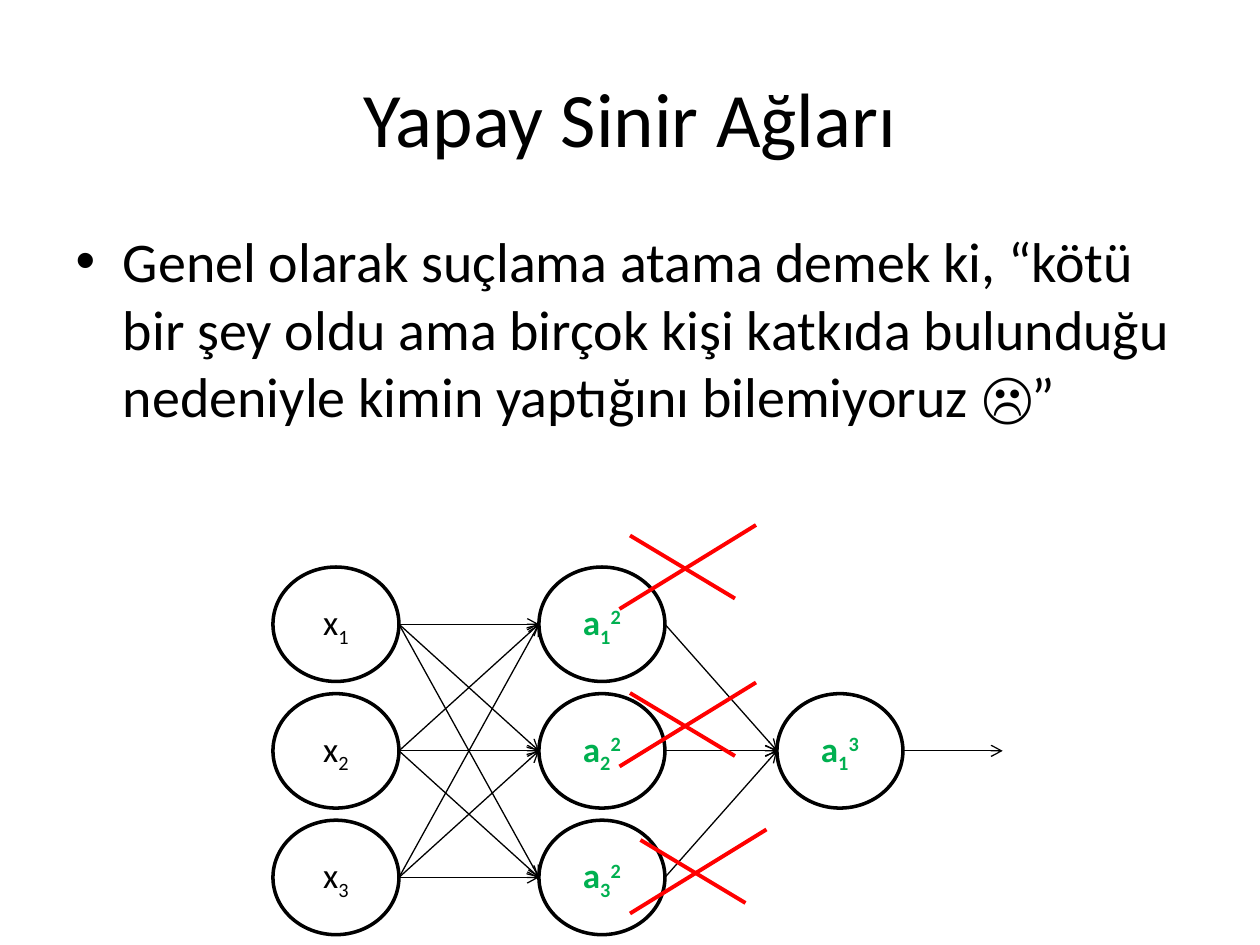
import itertools
from dataclasses import dataclass
from typing import Any

import lxml.etree
import pptx
import pptx.dml.color
import pptx.enum.shapes
import pptx.enum.text
import pptx.oxml.ns
import pptx.util


@dataclass(frozen=True)
class Theme:
    font: str = "Calibri"
    ink: str = "000000"
    paper: str = "FFFFFF"
    active: str = "00B050"
    strike: str = "FF0000"
    title_size: float = 44
    body_size: float = 32
    node_size: float = 20
    node_line: float = 2
    link_line: float = 0.75
    strike_line: float = 2.25


@dataclass(frozen=True)
class Node:
    column: float
    row: float
    letter: str
    index: str
    layer: str = ""

    @property
    def inlet(self) -> tuple[float, float]:
        return self.column, self.row + NODE_HEIGHT / 2

    @property
    def outlet(self) -> tuple[float, float]:
        return self.column + NODE_WIDTH, self.row + NODE_HEIGHT / 2


THEME = Theme()
SLIDE_WIDTH = pptx.util.Inches(10)
SLIDE_HEIGHT = pptx.util.Inches(7.5)
COLUMNS, ROWS = 120, 90
NODE_WIDTH, NODE_HEIGHT = 12, 10.9
FIRST_ROW, ROW_PITCH = 54, 12.06
OUTPUT_LENGTH = 9.5

INPUTS = [Node(26, FIRST_ROW + i * ROW_PITCH, "x", str(i + 1)) for i in range(3)]
HIDDEN = [Node(51.33, FIRST_ROW + i * ROW_PITCH, "a", str(i + 1), "2") for i in range(3)]
OUTPUT = Node(74, FIRST_ROW + ROW_PITCH, "a", "1", "3")
CROSS_STROKES = [((0, 1), (10, 7)), ((12, 0), (-1, 8))]
CROSS_ORIGINS = [(60, 50), (60, 65), (61, 79)]


def across(columns: float) -> int:
    return round(SLIDE_WIDTH * columns / COLUMNS)


def down(rows: float) -> int:
    return round(SLIDE_HEIGHT * rows / ROWS)


def color(value: str) -> pptx.dml.color.RGBColor:
    return pptx.dml.color.RGBColor.from_string(value)


def add_run(paragraph: Any, text: str, size: float, ink: str = THEME.ink,
            bold: bool = False, baseline: int = 0) -> None:
    run = paragraph.add_run()
    run.text = text
    run.font.name = THEME.font
    run.font.size = pptx.util.Pt(size)
    run.font.bold = bold
    run.font.color.rgb = color(ink)
    if baseline:
        run._r.get_or_add_rPr().set("baseline", str(baseline * 1000))


def place(shape: Any, column: float, row: float, width: float, height: float) -> None:
    shape.left, shape.top = across(column), down(row)
    shape.width, shape.height = across(width), down(height)


def add_node(shapes: Any, node: Node) -> None:
    shape = shapes.add_shape(
        pptx.enum.shapes.MSO_SHAPE.OVAL, across(node.column), down(node.row),
        across(NODE_WIDTH), down(NODE_HEIGHT))
    shape.shadow.inherit = False
    shape.fill.solid()
    shape.fill.fore_color.rgb = color(THEME.paper)
    shape.line.color.rgb = color(THEME.ink)
    shape.line.width = pptx.util.Pt(THEME.node_line)
    shape.text_frame.vertical_anchor = pptx.enum.text.MSO_ANCHOR.MIDDLE
    paragraph = shape.text_frame.paragraphs[0]
    paragraph.alignment = pptx.enum.text.PP_ALIGN.CENTER
    computed = bool(node.layer)
    ink = THEME.active if computed else THEME.ink
    for text, baseline in ((node.letter, 0), (node.index, -25), (node.layer, 30)):
        if text:
            add_run(paragraph, text, THEME.node_size, ink, computed, baseline)


def add_line(shapes: Any, start: tuple[float, float], end: tuple[float, float],
             ink: str, width: float, arrow: bool = False) -> None:
    connector = shapes.add_connector(
        pptx.enum.shapes.MSO_CONNECTOR.STRAIGHT,
        across(start[0]), down(start[1]), across(end[0]), down(end[1]))
    connector.line.color.rgb = color(ink)
    connector.line.width = pptx.util.Pt(width)
    if arrow:
        lxml.etree.SubElement(connector.line._get_or_add_ln(),
                              pptx.oxml.ns.qn("a:tailEnd"), type="arrow")
    lxml.etree.SubElement(connector._element.spPr, pptx.oxml.ns.qn("a:effectLst"))


def add_network(slide: Any) -> None:
    shapes = slide.shapes.add_group_shape().shapes
    for node in [*INPUTS, *HIDDEN, OUTPUT]:
        add_node(shapes, node)
    links = [*itertools.product(INPUTS, HIDDEN), *itertools.product(HIDDEN, [OUTPUT])]
    for source, target in links:
        add_line(shapes, source.outlet, target.inlet, THEME.ink, THEME.link_line, True)
    column, row = OUTPUT.outlet
    add_line(shapes, (column, row), (column + OUTPUT_LENGTH, row),
             THEME.ink, THEME.link_line, True)


def add_cross(slide: Any, column: float, row: float) -> None:
    for start, end in CROSS_STROKES:
        add_line(slide.shapes, (column + start[0], row + start[1]),
                 (column + end[0], row + end[1]), THEME.strike, THEME.strike_line)


def main() -> None:
    presentation = pptx.Presentation()
    presentation.slide_width = SLIDE_WIDTH
    presentation.slide_height = SLIDE_HEIGHT
    slide = presentation.slides.add_slide(presentation.slide_layouts[1])

    title = slide.shapes.title
    place(title, 6, 3.6, 108, 15)
    title.text_frame.vertical_anchor = pptx.enum.text.MSO_ANCHOR.MIDDLE
    heading = title.text_frame.paragraphs[0]
    heading.alignment = pptx.enum.text.PP_ALIGN.CENTER
    add_run(heading, "Yapay Sinir Ağları", THEME.title_size)

    body = slide.placeholders[1]
    place(body, 6, 21, 108, 64)
    bullet = body.text_frame.paragraphs[0]
    bullet.space_before = pptx.util.Pt(0)
    add_run(bullet, "Genel olarak suçlama atama demek ki, “kötü bir şey oldu ama "
            "birçok kişi katkıda bulunduğu nedeniyle kimin yaptığını bilemiyoruz ☹”",
            THEME.body_size)

    add_network(slide)
    for column, row in CROSS_ORIGINS:
        add_cross(slide, column, row)
    presentation.save("out.pptx")


if __name__ == "__main__":
    main()
